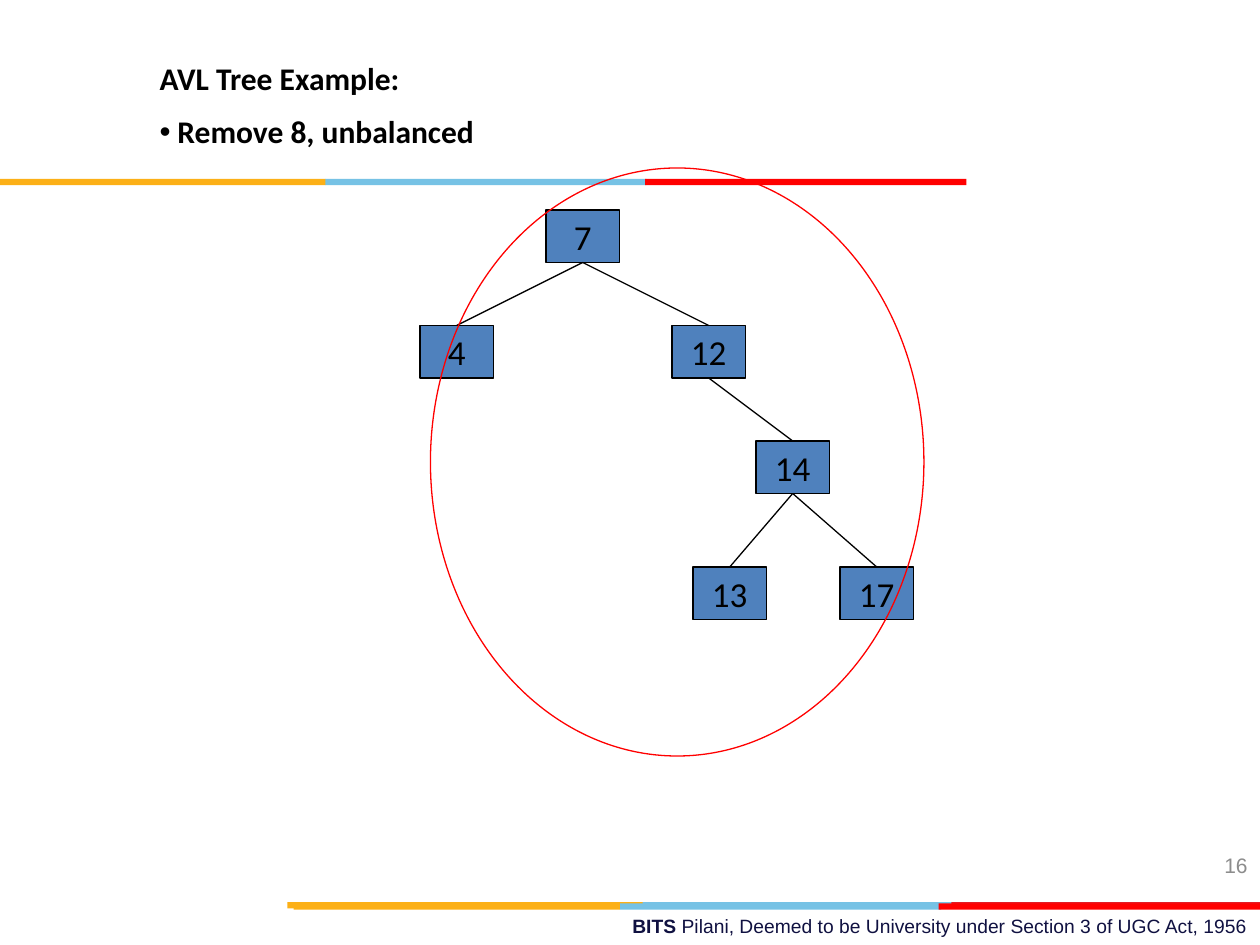
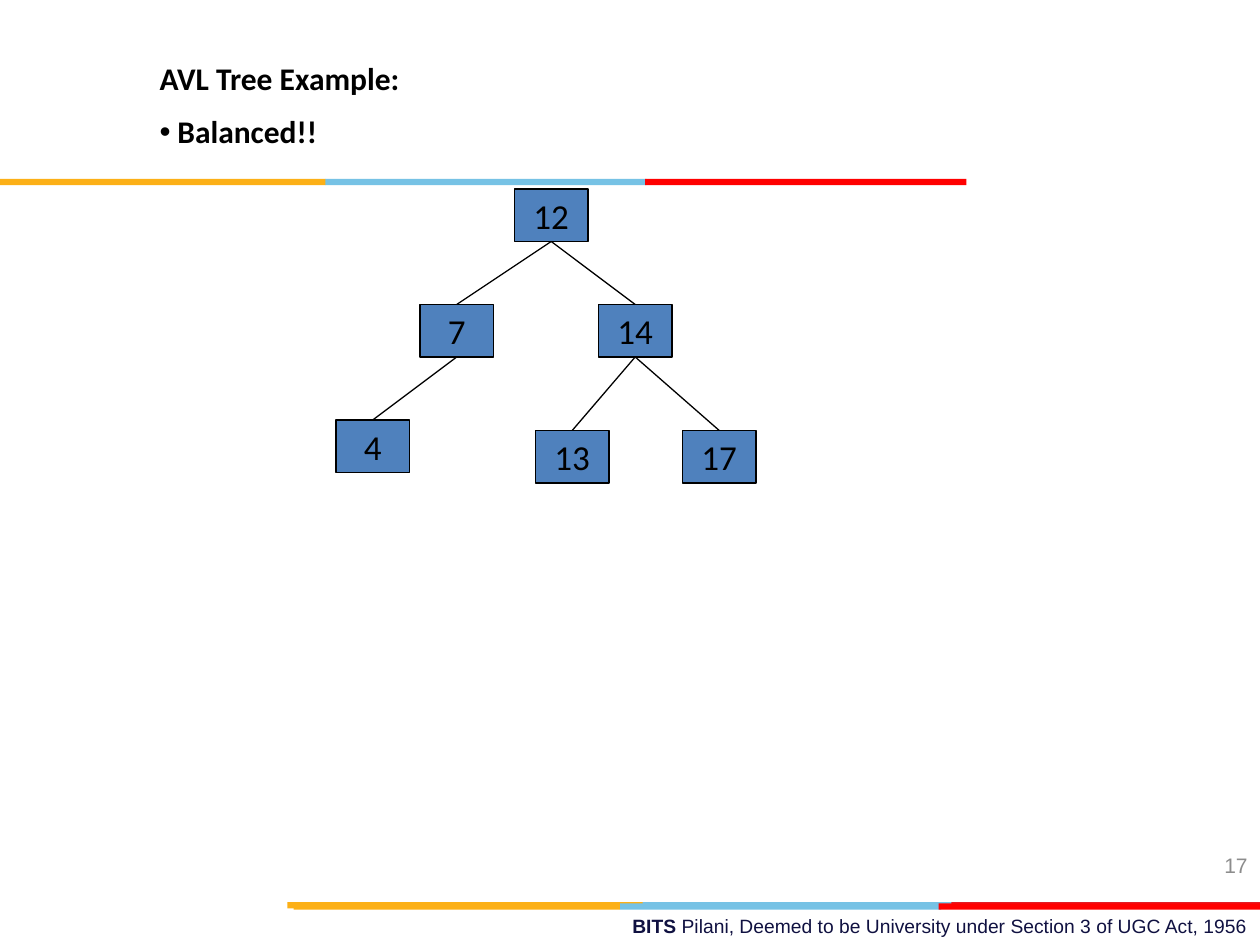
from lxml import etree
from pptx import Presentation
from pptx import util as u
from pptx.dml.color import RGBColor
from pptx.enum import shapes, text
from pptx.oxml import ns

# ---- Content ----
TITLE = "AVL Tree Example:"
FOOTER = [("BITS ", True),
          ("Pilani, Deemed to be University under Section 3 of UGC Act, 1956", False)]

# Nodes: value -> (left, top); edges: (parent, child)
SLIDES = [
    {"number": 16, "bullet": "Remove 8, unbalanced",
     "nodes": {14: (432, 252), 17: (480, 324), 4: (240, 186),
               7: (312, 120), 12: (384, 186), 13: (396, 324)},
     "edges": [(7, 4), (7, 12), (12, 14), (14, 13), (14, 17)],
     "unbalanced": (246, 96, 282, 336)},
    {"number": 17, "bullet": "Balanced!!",
     "nodes": {14: (342, 174), 17: (390, 246), 4: (192, 240),
               7: (240, 174), 12: (294, 108), 13: (306, 246)},
     "edges": [(7, 4), (12, 14), (14, 13), (14, 17), (12, 7)]},
]

# ---- Shared look ----
COLORS = {"amber": "FCB017", "sky": "76C2E5", "red": "FF0000", "crimson": "E31C24",
          "navy": "101141", "gray": "8C8C8C", "node": "4F81BD", "black": "000000"}
NODE_W, NODE_H = 42, 30
BAND_H = 3.6
# Each band: top, then (color, left, width) from back to front
BANDS = [
    (515.5, [("sky", 364.3, 183.6), ("crimson", 543.6, 176.4), ("amber", 164.2, 203)]),
    (516.2, [("sky", 354.2, 183.6), ("amber", 167.8, 186.4), ("red", 536.4, 183.6)]),
    (102.2, [("sky", 185.8, 183.6), ("amber", 0, 186), ("red", 368.6, 183.6)]),
]


def rgb(name):
    return RGBColor.from_string(COLORS[name])


def points(*values):
    return [u.Pt(v) for v in values]


def add_run(p, content, font, size, color, bold=False):
    r = p.add_run()
    r.text = content
    r.font.name, r.font.size, r.font.bold = font, u.Pt(size), bold
    r.font.color.rgb = rgb(color)


def add_shape(s, kind, box, fill=None, line=None):
    sp = s.shapes.add_shape(kind, *points(*box))
    sp.shadow.inherit = False
    if fill:
        sp.fill.solid()
        sp.fill.fore_color.rgb = rgb(fill)
    else:
        sp.fill.background()
    if line:
        sp.line.color.rgb = rgb(line)
        sp.line.width = u.Pt(0.75)
    else:
        sp.line.fill.background()
    return sp


def add_right_text(s, box, runs, size, color, anchor):
    tf = s.shapes.add_textbox(*points(*box)).text_frame
    tf.word_wrap = True
    tf.vertical_anchor = anchor
    p = tf.paragraphs[0]
    p.alignment = text.PP_ALIGN.RIGHT
    for content, bold in runs:
        add_run(p, content, "Arial", size, color, bold)


def add_frame(s, number):
    """Color bands, footer and slide number."""
    for top, segments in BANDS:
        for color, left, width in segments:
            add_shape(s, shapes.MSO_SHAPE.RECTANGLE, (left, top, width, BAND_H), color)
    add_right_text(s, (258, 519, 462, 21), FOOTER, 11, "navy", text.MSO_ANCHOR.TOP)
    add_right_text(s, (552, 480, 168, 28.8), [(str(number), False)], 12, "gray",
                   text.MSO_ANCHOR.MIDDLE)


def add_bullet(p, indent):
    pPr = p._p.get_or_add_pPr()
    pPr.set("marL", str(u.Pt(indent)))
    pPr.set("indent", str(-u.Pt(indent)))
    etree.SubElement(pPr, ns.qn("a:buFont")).set("typeface", "Arial")
    etree.SubElement(pPr, ns.qn("a:buChar")).set("char", "•")


def set_title(s, bullet):
    sp = s.shapes.title
    sp.left, sp.top, sp.width, sp.height = points(84, 30, 606, 61.2)
    tf = sp.text_frame
    tf.word_wrap = True
    tf.auto_size = text.MSO_AUTO_SIZE.NONE
    tf.vertical_anchor = text.MSO_ANCHOR.TOP
    heading, step = tf.paragraphs[0], tf.add_paragraph()
    add_bullet(step, 10.2)
    step.space_before = u.Pt(9)
    for p, content in ((heading, TITLE), (step, bullet)):
        p.alignment = text.PP_ALIGN.LEFT
        add_run(p, content, "Calibri", 18, "black", True)


def add_node(s, value, left, top):
    sp = add_shape(s, shapes.MSO_SHAPE.RECTANGLE, (left, top, NODE_W, NODE_H), "node", "black")
    tf = sp.text_frame
    tf.word_wrap = False
    tf.vertical_anchor = text.MSO_ANCHOR.MIDDLE
    p = tf.paragraphs[0]
    p.alignment = text.PP_ALIGN.CENTER
    add_run(p, str(value), "Calibri", 20, "black")
    return sp


def add_edge(s, parent, child):
    cx = s.shapes.add_connector(shapes.MSO_CONNECTOR.STRAIGHT, 0, 0, 0, 0)
    cx.begin_connect(parent, 2)
    cx.end_connect(child, 0)
    cx.line.color.rgb = rgb("black")
    cx.line.width = u.Pt(0.75)
    etree.SubElement(cx._element.spPr, ns.qn("a:effectLst"))


def main():
    prs = Presentation()
    prs.slide_width, prs.slide_height = points(720, 540)
    for data in SLIDES:
        s = prs.slides.add_slide(prs.slide_layouts[5])
        add_frame(s, data["number"])
        set_title(s, data["bullet"])
        # Tree
        nodes = {v: add_node(s, v, *pos) for v, pos in data["nodes"].items()}
        for parent, child in data["edges"]:
            add_edge(s, nodes[parent], nodes[child])
        # Ring around the unbalanced subtree
        if "unbalanced" in data:
            add_shape(s, shapes.MSO_SHAPE.OVAL, data["unbalanced"], line="red")
    prs.save("out.pptx")


if __name__ == "__main__":
    main()
